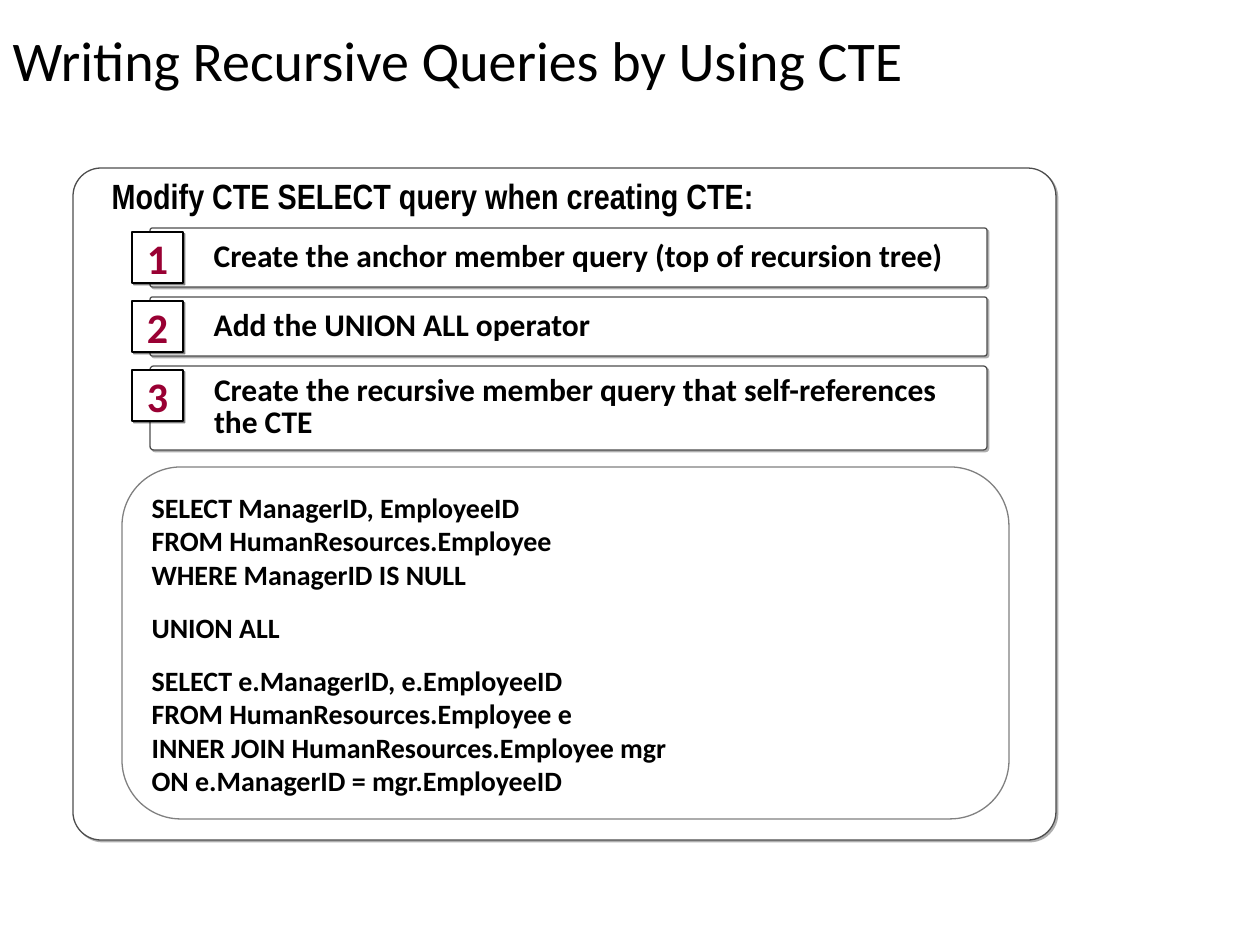
import pptx
import pptx.dml.color
import pptx.enum.shapes
import pptx.enum.text
import pptx.oxml
import pptx.oxml.ns
import pptx.util

PIXEL = 914400 / 126
BLACK = pptx.dml.color.RGBColor(0x00, 0x00, 0x00)
WHITE = pptx.dml.color.RGBColor(0xFF, 0xFF, 0xFF)
DARK_GRAY = pptx.dml.color.RGBColor(0x4D, 0x4D, 0x4D)
MID_GRAY = pptx.dml.color.RGBColor(0x80, 0x80, 0x80)
LIGHT_GRAY = pptx.dml.color.RGBColor(0xAF, 0xAF, 0xAF)
CRIMSON = pptx.dml.color.RGBColor(0x99, 0x00, 0x33)
LEFT = pptx.enum.text.PP_ALIGN.LEFT
CENTER = pptx.enum.text.PP_ALIGN.CENTER
TOP = pptx.enum.text.MSO_ANCHOR.TOP
MIDDLE = pptx.enum.text.MSO_ANCHOR.MIDDLE

STEPS = [
    ("Create the anchor member query (top of recursion tree)", 59),
    ("Add the UNION ALL operator", 59),
    ("Create the recursive member query that self-references the CTE", 84),
]
QUERY_BLOCKS = [
    ["SELECT ManagerID, EmployeeID", "FROM HumanResources.Employee", "WHERE ManagerID IS NULL"],
    ["UNION ALL"],
    [
        "SELECT e.ManagerID, e.EmployeeID",
        "FROM HumanResources.Employee e",
        "INNER JOIN HumanResources.Employee mgr",
        "ON e.ManagerID = mgr.EmployeeID",
    ],
]


def px(length):
    return pptx.util.Emu(round(length * PIXEL))


def write_text(shape, blocks, size, font="Calibri", color=BLACK, bold=True, align=LEFT,
               anchor=MIDDLE, spacing=None, block_gap=0, inset=None, wrap=True):
    frame = shape.text_frame
    frame.word_wrap = wrap
    frame.vertical_anchor = anchor
    if inset is not None:
        frame.margin_left = px(inset)
    frame.text = "\n".join(line for block in blocks for line in block)
    paragraphs = iter(frame.paragraphs)
    for block_index, block in enumerate(blocks):
        for line_index in range(len(block)):
            paragraph = next(paragraphs)
            paragraph.alignment = align
            if spacing is not None:
                paragraph.line_spacing = spacing
            if block_index and not line_index:
                paragraph.space_before = pptx.util.Pt(block_gap)
            paragraph.font.name = font
            paragraph.font.size = pptx.util.Pt(size)
            paragraph.font.bold = bold
            paragraph.font.color.rgb = color


class SlideBuilder:
    line_width = pptx.util.Pt(0.75)
    corner = 0.042

    def __init__(self, slide):
        self.slide = slide

    def title(self, text, left, top, width, height):
        shape = self.slide.shapes.title
        shape.left, shape.top, shape.width, shape.height = map(px, (left, top, width, height))
        write_text(shape, [[text]], 32, bold=False, spacing=0.9)

    def box(self, left, top, width, height, line=None, corner=corner, shadow=None, opacity=100):
        shape = self.slide.shapes.add_shape(
            pptx.enum.shapes.MSO_SHAPE.ROUNDED_RECTANGLE, px(left), px(top), px(width), px(height))
        shape.adjustments[0] = corner
        shape.shadow.inherit = False
        if line is None:
            shape.fill.background()
            shape.line.fill.background()
        else:
            shape.fill.solid()
            shape.fill.fore_color.rgb = WHITE
            shape.line.color.rgb = line
            shape.line.width = self.line_width
        if shadow is not None:
            self.add_shadow(shape, shadow, opacity)
        return shape

    def add_shadow(self, shape, color, opacity):
        effects = shape.element.spPr.find(pptx.oxml.ns.qn("a:effectLst"))
        effects.append(pptx.oxml.parse_xml(
            f'<a:outerShdw {pptx.oxml.ns.nsdecls("a")} dist="17961" dir="2700000" '
            f'algn="ctr" rotWithShape="0"><a:srgbClr val="{color}">'
            f'<a:alpha val="{opacity * 1000}"/></a:srgbClr></a:outerShdw>'))

    def heading(self, text, left, top, width, height):
        write_text(self.box(left, top, width, height), [[text]], 20,
                   font="Arial Narrow", anchor=TOP)

    def step(self, number, text, left, top, width, height):
        bar = self.box(left, top, width, height, DARK_GRAY, shadow=LIGHT_GRAY)
        write_text(bar, [[text]], 18, spacing=0.85, inset=63)
        badge = self.box(left - 18, top + 4, 51, 51, BLACK, corner=0, shadow=BLACK, opacity=50)
        write_text(badge, [[str(number)]], 24, color=CRIMSON, align=CENTER, wrap=False)

    def code(self, blocks, left, top, width, height):
        shape = self.box(left, top, width, height, MID_GRAY, corner=0.167)
        write_text(shape, blocks, 16, anchor=TOP, block_gap=11)


def main():
    presentation = pptx.Presentation()
    presentation.slide_width = px(1260)
    presentation.slide_height = px(945)
    builder = SlideBuilder(presentation.slides.add_slide(presentation.slide_layouts[5]))
    builder.title("Writing Recursive Queries by Using CTE", 0, 0, 1042, 126)
    builder.box(73, 168, 983, 672, DARK_GRAY, shadow=LIGHT_GRAY)
    builder.heading("Modify CTE SELECT query when creating CTE:", 91, 160, 951, 677)
    for index, (text, height) in enumerate(STEPS):
        builder.step(index + 1, text, 150, 228 + 69 * index, 837, height)
    builder.code(QUERY_BLOCKS, 122, 467, 887, 352)
    presentation.save("out.pptx")


if __name__ == "__main__":
    main()
